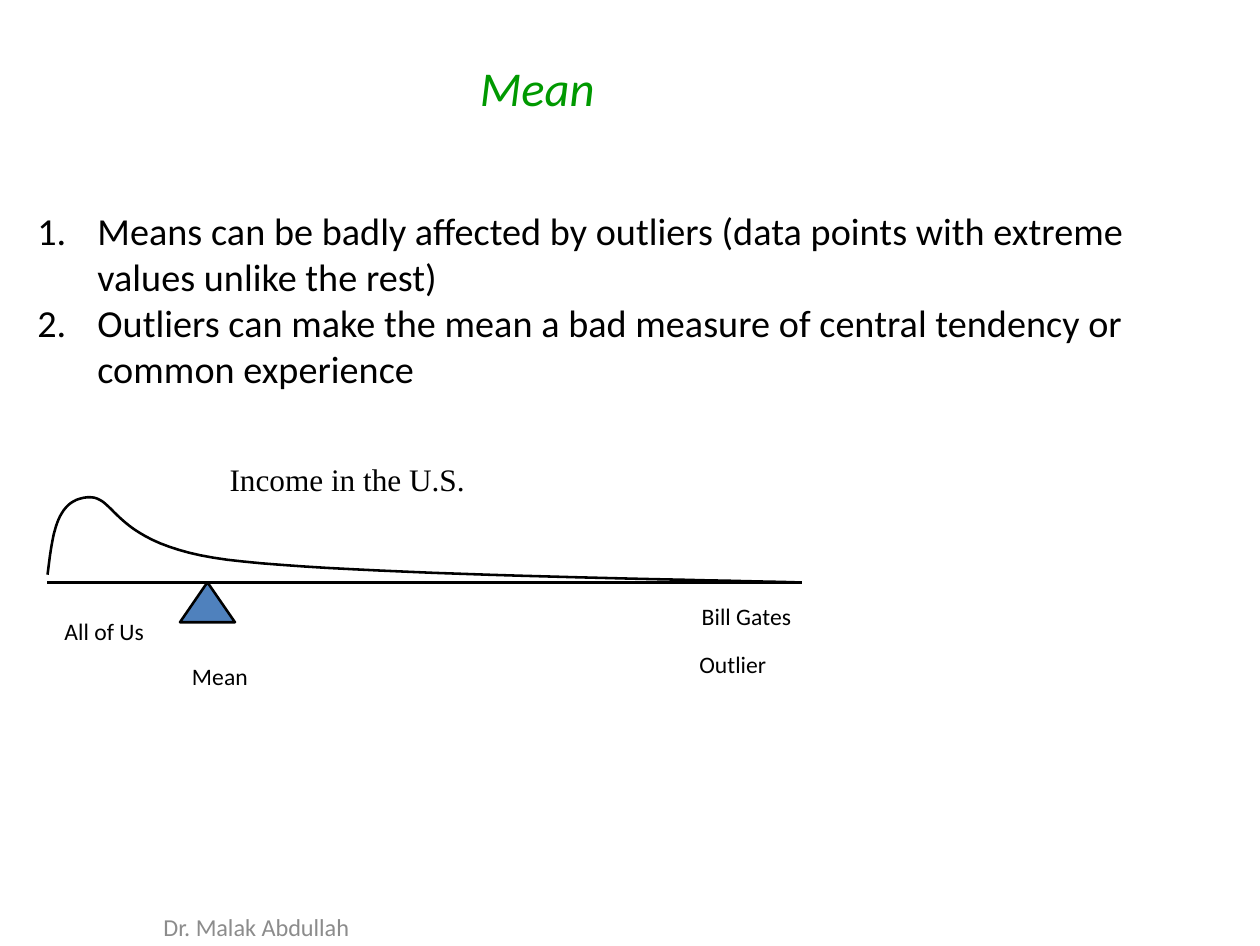
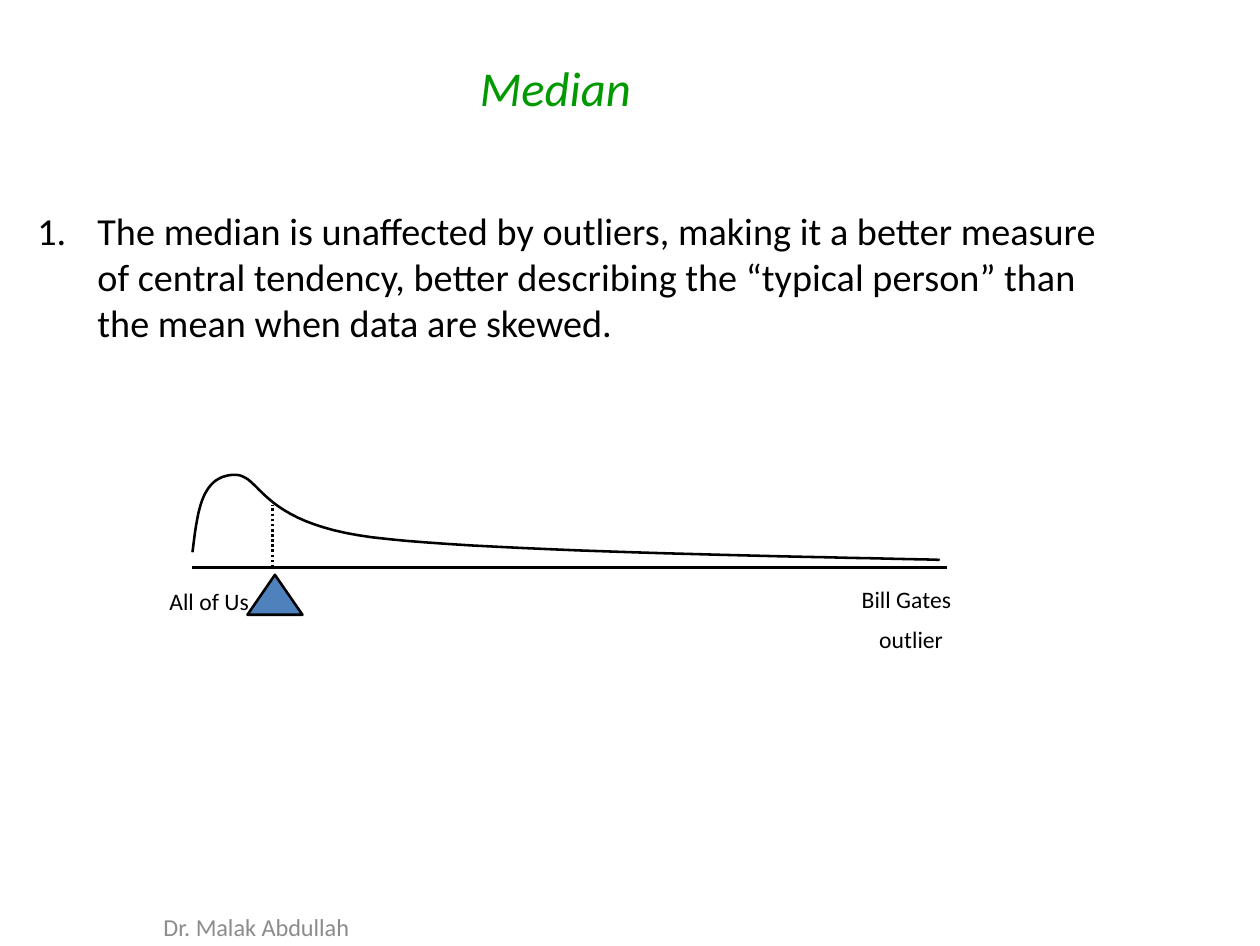
"""Build two slides that compare the mean and the median of a skewed distribution."""
from lxml.etree import SubElement
from pptx import Presentation
from pptx.dml.color import RGBColor
from pptx.enum.dml import MSO_LINE_DASH_STYLE as DASH
from pptx.enum.shapes import MSO_CONNECTOR as CONNECTOR, MSO_SHAPE as SHAPE
from pptx.enum.text import MSO_ANCHOR as ANCHOR, PP_ALIGN as ALIGN
from pptx.oxml.ns import qn
from pptx.util import Inches, Pt

SLIDE_WIDTH = Pt(363)
SLIDE_HEIGHT = Pt(272.5)
BLACK = RGBColor(0x00, 0x00, 0x00)
GREEN = RGBColor(0x00, 0x99, 0x00)
BLUE = RGBColor(0x4F, 0x81, 0xBD)
GRAY = RGBColor(0x8C, 0x8C, 0x8C)
FONT = "Calibri"
SERIF = "Times New Roman"
LABEL_SIZE = 6.8
LINE_WIDTH = Pt(0.75)
TITLE_LAYOUT = 5
NUMBER_INDENT = 0.24
AXIS_LENGTH = 3.02
CURVE_START = (0, 0.32)
CURVE_BEZIERS = [
    ((0.02, 0.17), (0.03, 0.02), (0.16, 0.01)),
    ((0.28, 0), (0.25, 0.2), (0.72, 0.26)),
    ((1.19, 0.32), (2.61, 0.34), (2.99, 0.35)),
]
CURVE_STEPS = 24


def format_text(frame, texts, size, font=FONT, color=BLACK, italic=False,
                align=ALIGN.LEFT, inset=(0, 0), space=0, numbered=False, indents=()):
    """Write one paragraph per text into a frame and format them."""
    frame.word_wrap = True
    frame.vertical_anchor = ANCHOR.TOP
    frame.margin_left = frame.margin_right = Inches(inset[0])
    frame.margin_top = frame.margin_bottom = Inches(inset[1])
    for index, text in enumerate(texts):
        paragraph = frame.add_paragraph() if index else frame.paragraphs[0]
        paragraph.text = text
        paragraph.alignment = align
        paragraph.space_before = Pt(space if index else 0)
        properties = paragraph._p.get_or_add_pPr()
        if numbered:
            properties.set("marL", str(Inches(NUMBER_INDENT)))
            properties.set("indent", str(-Inches(NUMBER_INDENT)))
            SubElement(properties, qn("a:buFont"), typeface="+mj-lt")
            SubElement(properties, qn("a:buAutoNum"), type="arabicPeriod")
        elif indents:
            properties.set("marL", str(Inches(indents[index])))
        run_font = paragraph.runs[0].font
        run_font.name, run_font.size = font, Pt(size)
        run_font.italic, run_font.color.rgb = italic, color


def add_text(slide, box, texts, **text_format):
    """Add a text box at left, top, width, height."""
    shape = slide.shapes.add_textbox(*map(Inches, box))
    format_text(shape.text_frame, texts, **text_format)


def add_label(slide, left, top, texts, width=0.66, size=LABEL_SIZE, **text_format):
    """Add a small caption to a diagram."""
    height = 0.22 + 0.17 * (len(texts) - 1)
    add_text(slide, (left, top, width, height), texts, size=size,
             inset=(0.1, 0.05), space=LABEL_SIZE / 2, **text_format)


def set_outline(shape):
    """Give a shape or connector the diagram's black line."""
    shape.line.color.rgb = BLACK
    shape.line.width = LINE_WIDTH


def add_line(slide, start, end, dash=None):
    """Add a straight black line."""
    line = slide.shapes.add_connector(CONNECTOR.STRAIGHT, *map(Inches, start + end))
    set_outline(line)
    if dash is not None:
        line.line.dash_style = dash
    SubElement(line._element.spPr, qn("a:effectLst"))


def bezier_point(points, t):
    """Return the point of a cubic Bezier curve at t."""
    weights = ((1 - t) ** 3, 3 * t * (1 - t) ** 2, 3 * t ** 2 * (1 - t), t ** 3)
    return tuple(sum(w * point[axis] for w, point in zip(weights, points))
                 for axis in (0, 1))


def add_skewed_curve(slide, left, top):
    """Draw the right-skewed distribution from its top left corner."""
    points = [CURVE_START]
    for bezier in CURVE_BEZIERS:
        controls = (points[-1], *bezier)
        points += [bezier_point(controls, step / CURVE_STEPS)
                   for step in range(1, CURVE_STEPS + 1)]
    placed = [(Inches(left + x), Inches(top + y)) for x, y in points]
    builder = slide.shapes.build_freeform(*placed[0], scale=1.0)
    builder.add_line_segments(placed[1:], close=False)
    curve = builder.convert_to_shape()
    curve.shadow.inherit = False
    curve.fill.background()
    set_outline(curve)


def add_distribution(slide, left, curve_top, axis_top, pivot):
    """Draw the curve, its axis and the triangle that marks the centre."""
    add_line(slide, (left, axis_top), (left + AXIS_LENGTH, axis_top))
    triangle = slide.shapes.add_shape(
        SHAPE.ISOSCELES_TRIANGLE, *map(Inches, pivot + (0.22, 0.16)))
    triangle.shadow.inherit = False
    triangle.fill.solid()
    triangle.fill.fore_color.rgb = BLUE
    set_outline(triangle)
    add_skewed_curve(slide, left, curve_top)


def add_slide(presentation, title, points):
    """Add a slide with its title, numbered points and footer."""
    slide = presentation.slides.add_slide(presentation.slide_layouts[TITLE_LAYOUT])
    placeholder = slide.shapes.title
    placeholder.left, placeholder.top = Inches(1.92), Inches(0.23)
    placeholder.width, placeholder.height = Inches(1.2), Inches(0.24)
    format_text(placeholder.text_frame, [title], size=14, color=GREEN, italic=True)
    add_text(slide, (0.15, 0.83, 4.4, 2.04), points, size=11, numbered=True)
    add_text(slide, (-0.15, 3.65, 2.35, 0.12), ["Dr. Malak Abdullah"],
             size=7, color=GRAY, align=ALIGN.CENTER)
    return slide


def add_mean_slide(presentation):
    """Show how an outlier pulls the mean."""
    slide = add_slide(presentation, "Mean", [
        "Means can be badly affected by outliers (data points with extreme "
        "values unlike the rest)",
        "Outliers can make the mean a bad measure of central tendency or "
        "common experience",
    ])
    add_distribution(slide, left=0.19, curve_top=1.98, axis_top=2.33, pivot=(0.72, 2.33))
    add_label(slide, 0.16, 2.42, ["All of Us"])
    add_label(slide, 2.71, 2.36, ["Bill Gates"])
    add_label(slide, 0.67, 2.6, ["Mean"])
    add_label(slide, 2.7, 2.55, ["Outlier"])
    add_label(slide, 0.82, 1.79, ["Income in the U.S."], width=1.51, size=9, font=SERIF)


def add_median_slide(presentation):
    """Show that the median stays with the typical person."""
    slide = add_slide(presentation, "Median", [
        "The median is unaffected by outliers, making it a better measure of "
        "central tendency, better describing the “typical person” than the mean "
        "when data are skewed.",
    ])
    add_distribution(slide, left=0.77, curve_top=1.89, axis_top=2.27, pivot=(0.99, 2.3))
    add_label(slide, 0.58, 2.3, ["All of Us"])
    add_label(slide, 3.35, 2.29, ["Bill Gates", "outlier"], indents=(0, 0.07))
    add_line(slide, (1.09, 2.27), (1.09, 2.02), dash=DASH.ROUND_DOT)


def main():
    """Build and save the presentation."""
    presentation = Presentation()
    presentation.slide_width = SLIDE_WIDTH
    presentation.slide_height = SLIDE_HEIGHT
    add_mean_slide(presentation)
    add_median_slide(presentation)
    presentation.save("out.pptx")


if __name__ == "__main__":
    main()
